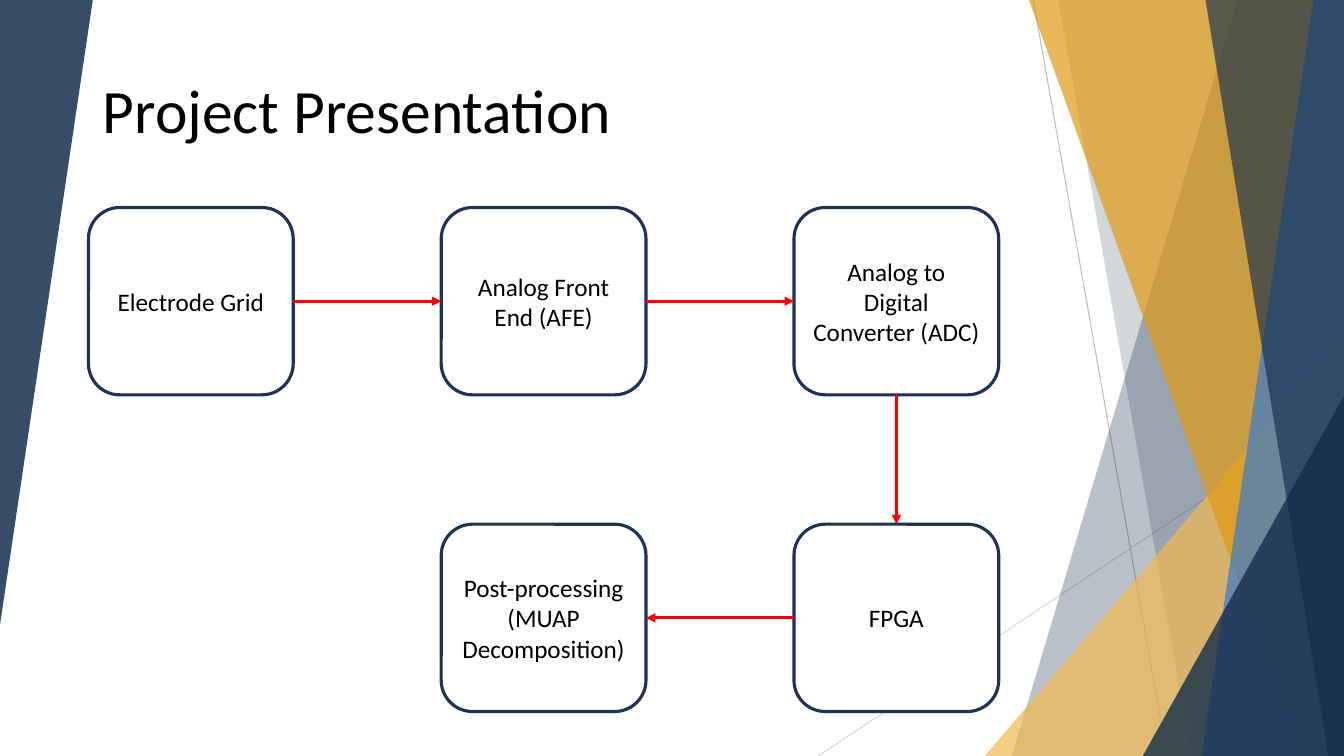
from dataclasses import dataclass

from lxml import etree
from pptx import Presentation
from pptx.dml.color import RGBColor
from pptx.enum import shapes, text
from pptx.oxml import ns
from pptx.util import Cm, Pt

WIDTH, HEIGHT = 33.87, 19.05
BOX_WIDTH, BOX_HEIGHT = 5.16, 4.72
GRID_LEFT, GRID_TOP = 2.23, 5.23
COLUMN_PITCH, ROW_PITCH = 8.89, 7.98
TOP, LEFT, BOTTOM, RIGHT = range(4)

NAVY = RGBColor(0x12, 0x2C, 0x4A)
BLUE = RGBColor(0x38, 0x79, 0xCD)
GOLD = RGBColor(0xE0, 0x99, 0x12)
LIGHT_GOLD = RGBColor(0xF0, 0xB9, 0x52)
OUTLINE = RGBColor(0x1E, 0x32, 0x56)
GRAY = RGBColor(0xBE, 0xBE, 0xBE)
LIGHT_GRAY = RGBColor(0xD9, 0xD9, 0xD9)
RED = RGBColor(0xFF, 0x00, 0x00)
WHITE = RGBColor(0xFF, 0xFF, 0xFF)
BLACK = RGBColor(0x00, 0x00, 0x00)

Point = tuple[float, float]


@dataclass(frozen=True)
class Facet:
    points: list[Point]
    color: RGBColor
    opacity: int


@dataclass(frozen=True)
class Stage:
    name: str
    label: str
    column: int
    row: int


@dataclass(frozen=True)
class Flow:
    source: str
    source_side: int
    target: str
    target_side: int


def band(top_left: float, bottom_left: float) -> list[Point]:
    return [(WIDTH, 0), (top_left, 0), (bottom_left, HEIGHT), (WIDTH, HEIGHT)]


def corner(top: float, left: float) -> list[Point]:
    return [(WIDTH, top), (left, HEIGHT), (WIDTH, HEIGHT)]


FACETS = [
    Facet(band(31.19, 25.5), NAVY, 29),
    Facet(band(26.67, 30.02), NAVY, 19),
    Facet(corner(8.46, 24.82), LIGHT_GOLD, 71),
    Facet(band(25.93, 32.79), GOLD, 69),
    Facet(band(33.1, 30.28), BLUE, 69),
    Facet(band(30.38, 33.48), NAVY, 64),
    Facet(corner(9.98, 28.8), NAVY, 79),
    Facet([(2.34, 0), (0, 0), (0, 15.75)], NAVY, 84),
]

STAGES = [
    Stage("electrodes", "Electrode Grid", 0, 0),
    Stage("afe", "Analog Front End (AFE)", 1, 0),
    Stage("adc", "Analog to Digital Converter (ADC)", 2, 0),
    Stage("fpga", "FPGA", 2, 1),
    Stage("processing", "Post-processing\n(MUAP Decomposition)", 1, 1),
]

FLOWS = [
    Flow("electrodes", RIGHT, "afe", LEFT),
    Flow("afe", RIGHT, "adc", LEFT),
    Flow("fpga", LEFT, "processing", RIGHT),
    Flow("adc", BOTTOM, "fpga", TOP),
]


def write_text(shape, content: str, *, size: float, align=text.PP_ALIGN.LEFT,
               spacing: float = 1.0) -> None:
    frame = shape.text_frame
    frame.word_wrap = True
    frame.vertical_anchor = text.MSO_ANCHOR.MIDDLE
    frame.text = content
    for paragraph in frame.paragraphs:
        paragraph.alignment = align
        paragraph.line_spacing = spacing
        for run in paragraph.runs:
            run.font.name = "Calibri"
            run.font.size = Pt(size)
            run.font.color.rgb = BLACK


def draw_facet(slide, facet: Facet) -> None:
    points = [(Cm(x), Cm(y)) for x, y in facet.points]
    builder = slide.shapes.build_freeform(*points[0])
    builder.add_line_segments(points[1:], close=True)
    shape = builder.convert_to_shape()
    shape.shadow.inherit = False
    shape.line.fill.background()
    shape.fill.solid()
    shape.fill.fore_color.rgb = facet.color
    color = shape.fill._xPr.find(".//" + ns.qn("a:srgbClr"))
    etree.SubElement(color, ns.qn("a:alpha"), val=str(facet.opacity * 1000))


def draw_line(slide, start: Point, end: Point, color: RGBColor, width: float):
    connector = slide.shapes.add_connector(
        shapes.MSO_CONNECTOR.STRAIGHT, *map(Cm, start + end))
    connector.line.color.rgb = color
    connector.line.width = Pt(width)
    etree.SubElement(connector._element.spPr, ns.qn("a:effectLst"))
    return connector


def draw_stage(slide, stage: Stage):
    shape = slide.shapes.add_shape(
        shapes.MSO_SHAPE.ROUNDED_RECTANGLE,
        Cm(GRID_LEFT + stage.column * COLUMN_PITCH),
        Cm(GRID_TOP + stage.row * ROW_PITCH),
        Cm(BOX_WIDTH), Cm(BOX_HEIGHT))
    shape.shadow.inherit = False
    shape.fill.solid()
    shape.fill.fore_color.rgb = WHITE
    shape.line.color.rgb = OUTLINE
    shape.line.width = Pt(2.25)
    write_text(shape, stage.label, size=18, align=text.PP_ALIGN.CENTER)
    return shape


def draw_flow(slide, flow: Flow, boxes: dict) -> None:
    arrow = draw_line(slide, (0, 0), (0, 0), RED, 2.25)
    arrow.begin_connect(boxes[flow.source], flow.source_side)
    arrow.end_connect(boxes[flow.target], flow.target_side)
    etree.SubElement(arrow.line._get_or_add_ln(), ns.qn("a:tailEnd"), type="triangle")


def main() -> None:
    presentation = Presentation()
    presentation.slide_width = Cm(WIDTH)
    presentation.slide_height = Cm(HEIGHT)
    slide = presentation.slides.add_slide(presentation.slide_layouts[6])

    draw_line(slide, (26.04, 0), (29.41, HEIGHT), GRAY, 0.75)
    draw_line(slide, (WIDTH, 10.24), (20.62, HEIGHT), LIGHT_GRAY, 0.75)
    for facet in FACETS:
        draw_facet(slide, facet)

    title = slide.shapes.add_textbox(Cm(2.34), Cm(1.02), Cm(29.21), Cm(3.68))
    write_text(title, "Project Presentation", size=44, spacing=0.9)

    boxes = {stage.name: draw_stage(slide, stage) for stage in STAGES}
    for flow in FLOWS:
        draw_flow(slide, flow, boxes)

    presentation.save("out.pptx")


if __name__ == "__main__":
    main()
